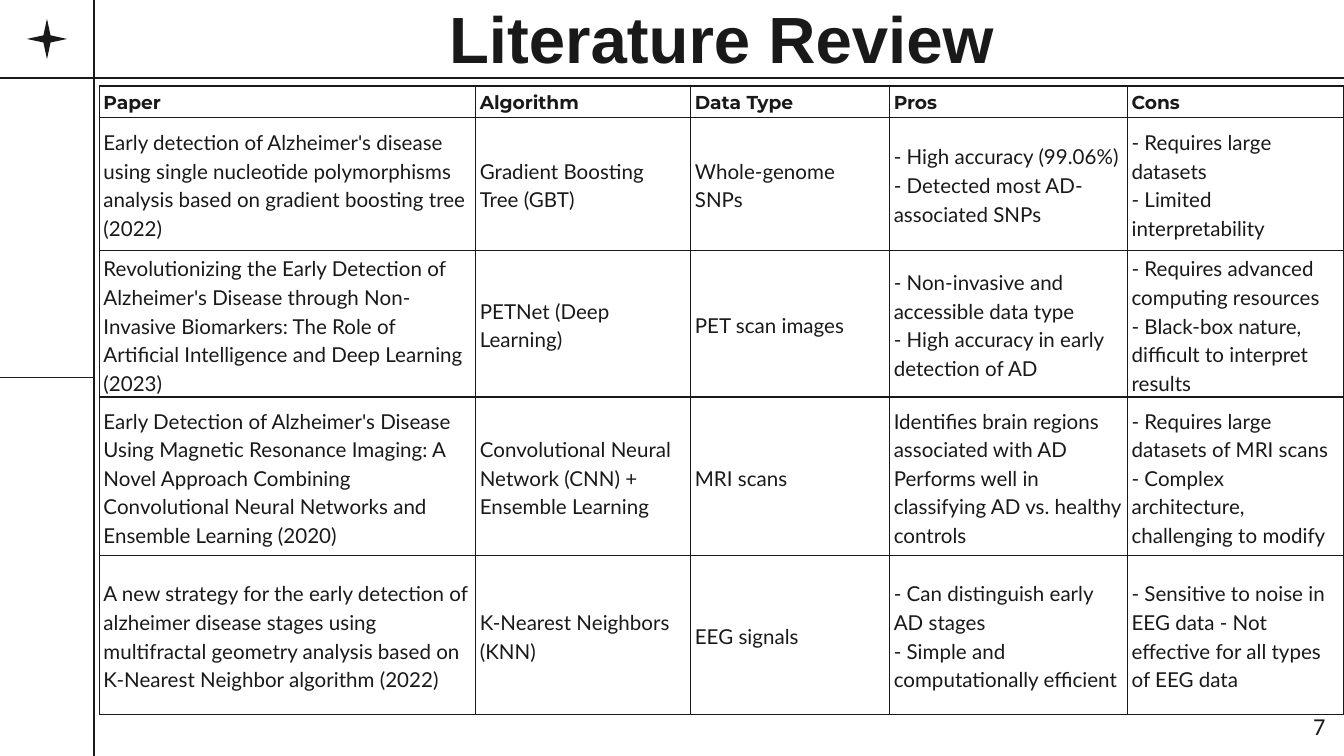
from lxml import etree
from pptx import Presentation
from pptx import util as u
from pptx.dml.color import RGBColor
from pptx.enum import shapes, text
from pptx.oxml import ns

INK = RGBColor(0x19, 0x19, 0x19)
WHITE = RGBColor(0xFF, 0xFF, 0xFF)
LINE_WIDTH = u.Pt(0.75)
COLUMN_WIDTHS = [2.8, 1.6, 1.48, 1.77, 1.61]
ROW_HEIGHTS = [0.23, 0.99, 1.06, 1.18, 1.18]
RULES = [(-0.02, 2.81, 0.69, 2.81), (-0.04, 0.58, 10.04, 0.58), (0.7, -0.03, 0.7, 5.66)]
REVIEW = [
    ["Paper", "Algorithm", "Data Type", "Pros", "Cons"],
    [
        "Early detection of Alzheimer's disease using single nucleotide polymorphisms "
        "analysis based on gradient boosting tree (2022)",
        "Gradient Boosting Tree (GBT)",
        "Whole-genome SNPs",
        "- High accuracy (99.06%) - Detected most AD-associated SNPs",
        "- Requires large datasets\n- Limited interpretability",
    ],
    [
        "Revolutionizing the Early Detection of Alzheimer's Disease through Non-Invasive "
        "Biomarkers: The Role of Artificial Intelligence and Deep Learning (2023)",
        "PETNet (Deep Learning)",
        "PET scan images",
        "- Non-invasive and accessible data type\n- High accuracy in early detection of AD",
        "- Requires advanced computing resources\n"
        "- Black-box nature, difficult to interpret results",
    ],
    [
        "Early Detection of Alzheimer's Disease Using Magnetic Resonance Imaging: A Novel "
        "Approach Combining Convolutional Neural Networks and Ensemble Learning (2020)",
        "Convolutional Neural Network (CNN) + Ensemble Learning",
        "MRI scans",
        "Identifies brain regions associated with AD\n"
        "Performs well in classifying AD vs. healthy controls",
        "- Requires large datasets of MRI scans\n- Complex architecture, challenging to modify",
    ],
    [
        "A new strategy for the early detection of alzheimer disease stages using "
        "multifractal geometry analysis based on K-Nearest Neighbor algorithm (2022)",
        "K-Nearest Neighbors (KNN)",
        "EEG signals",
        "- Can distinguish early AD stages\n- Simple and computationally efficient",
        "- Sensitive to noise in EEG data - Not effective for all types of EEG data",
    ],
]


def style_font(para, name, size, bold=False):
    para.font.name = name
    para.font.size = u.Pt(size)
    para.font.bold = bold
    para.font.color.rgb = INK


def add_rule(page, x1, y1, x2, y2):
    ends = [u.Inches(value) for value in (x1, y1, x2, y2)]
    rule = page.shapes.add_connector(shapes.MSO_CONNECTOR.STRAIGHT, *ends)
    rule.line.color.rgb = INK
    rule.line.width = LINE_WIDTH
    etree.SubElement(rule._element.spPr, ns.qn("a:effectLst"))


def add_star(page, left, top, size):
    star = page.shapes.add_shape(
        shapes.MSO_SHAPE.STAR_4_POINT,
        u.Inches(left), u.Inches(top), u.Inches(size), u.Inches(size),
    )
    star.adjustments[0] = 0.125
    star.shadow.inherit = False
    star.fill.solid()
    star.fill.fore_color.rgb = INK
    star.line.fill.background()


def add_text(page, words, place, align, anchor, font, size, bold=False):
    box = page.shapes.add_textbox(*[u.Inches(value) for value in place])
    frame = box.text_frame
    frame.word_wrap = True
    frame.vertical_anchor = anchor
    frame.margin_left = frame.margin_right = u.Inches(0.1)
    frame.margin_top = frame.margin_bottom = u.Inches(0.1)
    para = frame.paragraphs[0]
    para.text = words
    para.alignment = align
    style_font(para, font, size, bold)


def add_borders(cell):
    properties = cell._tc.get_or_add_tcPr()
    for side in ("a:lnL", "a:lnR", "a:lnT", "a:lnB"):
        border = etree.SubElement(properties, ns.qn(side), w=str(LINE_WIDTH))
        fill = etree.SubElement(border, ns.qn("a:solidFill"))
        etree.SubElement(fill, ns.qn("a:srgbClr"), val=str(INK))


def fill_cell(cell, words, is_header):
    add_borders(cell)
    cell.fill.background()
    cell.margin_left = cell.margin_right = u.Inches(0.03)
    cell.margin_top = cell.margin_bottom = u.Inches(0.02)
    cell.vertical_anchor = text.MSO_ANCHOR.BOTTOM if is_header else text.MSO_ANCHOR.MIDDLE
    cell.text = words
    for para in cell.text_frame.paragraphs:
        para.line_spacing = 1.15
        if is_header:
            style_font(para, "Montserrat", 10, bold=True)
        else:
            style_font(para, "Lato", 11)


def add_review_table(page, left, top):
    frame = page.shapes.add_table(
        len(ROW_HEIGHTS), len(COLUMN_WIDTHS), u.Inches(left), u.Inches(top),
        u.Inches(sum(COLUMN_WIDTHS)), u.Inches(sum(ROW_HEIGHTS)),
    )
    table = frame.table
    for column, width in zip(table.columns, COLUMN_WIDTHS):
        column.width = u.Inches(width)
    for index, (row, height) in enumerate(zip(table.rows, ROW_HEIGHTS)):
        row.height = u.Inches(height)
        for cell, words in zip(row.cells, REVIEW[index]):
            fill_cell(cell, words, is_header=index == 0)


def main():
    """Build the literature review slide."""
    deck = Presentation()
    deck.slide_width = u.Inches(10)
    deck.slide_height = u.Inches(10 * 9 / 16)
    page = deck.slides.add_slide(deck.slide_layouts[6])
    page.background.fill.solid()
    page.background.fill.fore_color.rgb = WHITE
    for rule in RULES:
        add_rule(page, *rule)
    add_star(page, 0.2, 0.14, 0.3)
    add_text(page, "7", (9.36, 5.19, 0.6, 0.43), text.PP_ALIGN.RIGHT,
             text.MSO_ANCHOR.TOP, "Calibri", 13)
    add_review_table(page, 0.74, 0.64)
    add_text(page, "Literature Review", (0.74, 0, 9.26, 0.56), text.PP_ALIGN.CENTER,
             text.MSO_ANCHOR.MIDDLE, "Arial", 35, bold=True)
    deck.save("out.pptx")


if __name__ == "__main__":
    main()
